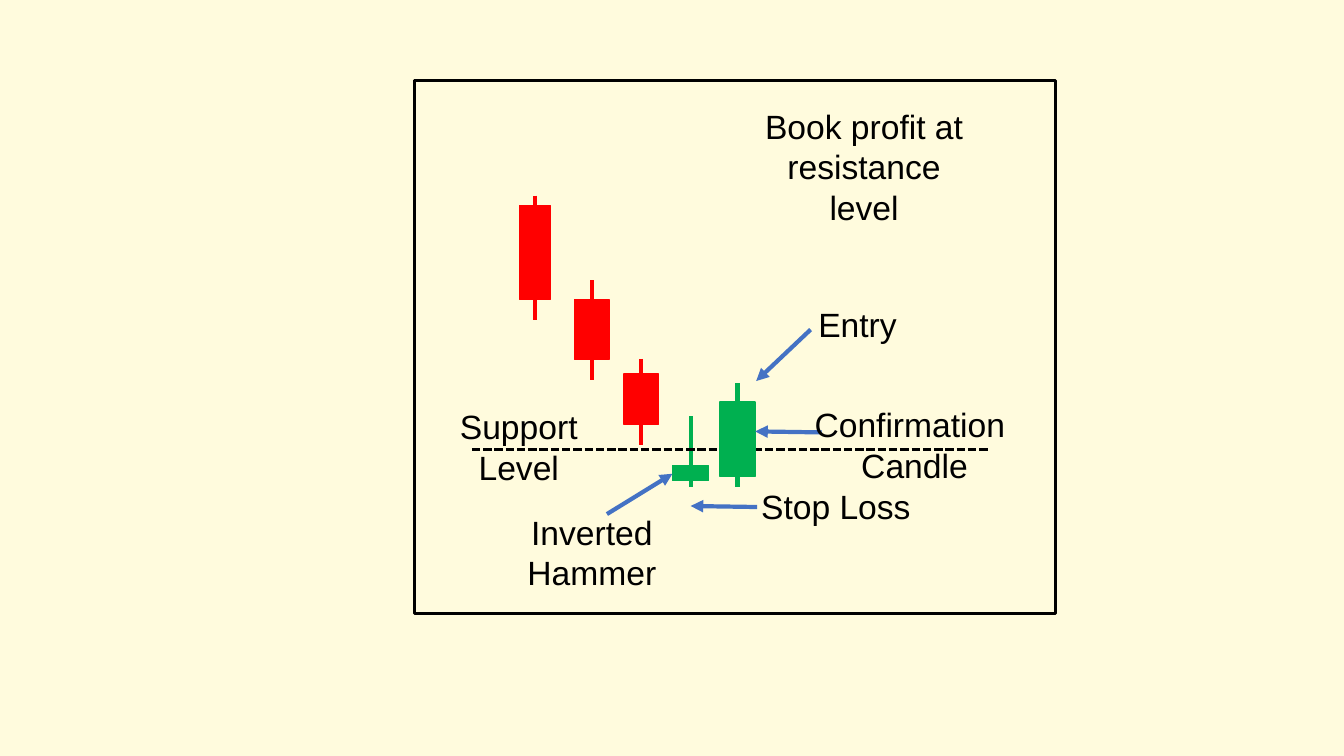
from dataclasses import dataclass

from lxml import etree
from pptx import Presentation
from pptx.dml.color import RGBColor
from pptx.enum.dml import MSO_LINE
from pptx.enum.shapes import MSO_CONNECTOR, MSO_SHAPE
from pptx.enum.text import MSO_AUTO_SIZE, PP_ALIGN
from pptx.oxml.ns import qn
from pptx.shapes.connector import Connector
from pptx.util import Inches, Pt

RECTANGLE = MSO_SHAPE.RECTANGLE
STRAIGHT = MSO_CONNECTOR.STRAIGHT
SYSTEM_DASH = MSO_LINE.SQUARE_DOT  # stored as sysDash
CENTER = PP_ALIGN.CENTER
GROW = MSO_AUTO_SIZE.SHAPE_TO_FIT_TEXT

CREAM, BLACK, BLUE = "FFFBDD", "000000", "4472C4"
RED, GREEN = "FF0000", "00B050"


@dataclass
class Candle:
    left: float
    top: float
    width: float
    height: float
    high: float
    low: float
    color: str


@dataclass
class Arrow:
    start: tuple[float, float]
    end: tuple[float, float]


@dataclass
class Label:
    left: float
    top: float
    width: float
    height: float
    text: str


HAMMER = Candle(6.67, 4.62, 0.36, 0.15, 4.13, 4.83, GREEN)
CONFIRMATION = Candle(7.14, 3.99, 0.35, 0.74, 3.8, 4.83, GREEN)
FALLING = [
    Candle(6.19, 3.71, 0.34, 0.5, 3.56, 4.41, RED),
    Candle(5.7, 2.97, 0.34, 0.6, 2.78, 3.77, RED),
    Candle(5.15, 2.04, 0.31, 0.93, 1.94, 3.17, RED),
]
ARROWS = [
    Arrow((8.04, 3.27), (7.5, 3.78)),   # entry
    Arrow((7.51, 5.03), (6.85, 5.02)),  # stop loss
    Arrow((8.15, 4.29), (7.49, 4.28)),  # confirmation candle
    Arrow((6.02, 5.1), (6.67, 4.7)),    # inverted hammer
]
LABELS = [
    Label(7.34, 1, 2.46, 1.31, "Book profit at resistance level"),
    Label(4.34, 3.98, 1.61, 0.91, "Support Level"),
    Label(7.7, 2.97, 1.61, 0.5, "Entry"),
    Label(7.17, 4.77, 2.24, 0.5, "Stop Loss"),
    Label(7.97, 3.96, 2.2, 0.91, "Confirmation \nCandle"),
    Label(4.75, 5.03, 2.24, 0.91, "Inverted\nHammer"),
]


def rgb(color: str) -> RGBColor:
    return RGBColor.from_string(color)


def add_box(shapes, left: float, top: float, width: float, height: float,
            line: str, weight: float, fill: str | None = None) -> None:
    box = shapes.add_shape(RECTANGLE, Inches(left), Inches(top),
                           Inches(width), Inches(height))
    box.shadow.inherit = False
    if fill:
        box.fill.solid()
        box.fill.fore_color.rgb = rgb(fill)
    else:
        box.fill.background()
    box.line.color.rgb = rgb(line)
    box.line.width = Pt(weight)


def add_line(shapes, start: tuple[float, float], end: tuple[float, float],
             color: str, weight: float) -> Connector:
    line = shapes.add_connector(STRAIGHT, *map(Inches, start + end))
    line.line.color.rgb = rgb(color)
    line.line.width = Pt(weight)
    etree.SubElement(line._element.spPr, qn("a:effectLst"))
    return line


def add_candle(shapes, candle: Candle) -> None:
    group = shapes.add_group_shape()
    add_box(group.shapes, candle.left, candle.top, candle.width,
            candle.height, candle.color, 1, candle.color)
    middle = candle.left + candle.width / 2
    add_line(group.shapes, (middle, candle.high), (middle, candle.low),
             candle.color, 3)


def add_arrow(shapes, arrow: Arrow) -> None:
    line = add_line(shapes, arrow.start, arrow.end, BLUE, 3)
    outline = line.line._get_or_add_ln()
    etree.SubElement(outline, qn("a:tailEnd"), type="triangle")


def add_label(shapes, label: Label) -> None:
    box = shapes.add_textbox(Inches(label.left), Inches(label.top),
                             Inches(label.width), Inches(label.height))
    frame = box.text_frame
    frame.word_wrap = True
    frame.auto_size = GROW
    frame.text = label.text
    for para in frame.paragraphs:
        para.alignment = CENTER
        para.font.name = "Arial"
        para.font.size = Pt(24)
        para.font.color.rgb = rgb(BLACK)


deck = Presentation()
deck.slide_width, deck.slide_height = Inches(13.33), Inches(7.5)
page = deck.slides.add_slide(deck.slide_layouts[6])
page.background.fill.solid()
page.background.fill.fore_color.rgb = rgb(CREAM)

# Frame around the diagram
add_box(page.shapes, 4.11, 0.8, 6.36, 5.29, BLACK, 2)

# Candles, with the support line behind the confirmation candle only
for candle in [HAMMER, *FALLING]:
    add_candle(page.shapes, candle)
support = add_line(page.shapes, (4.68, 4.46), (9.8, 4.46), BLACK, 2)
support.line.dash_style = SYSTEM_DASH
add_candle(page.shapes, CONFIRMATION)

# Arrows and labels
for arrow in ARROWS:
    add_arrow(page.shapes, arrow)
for label in LABELS:
    add_label(page.shapes, label)

deck.save("out.pptx")
